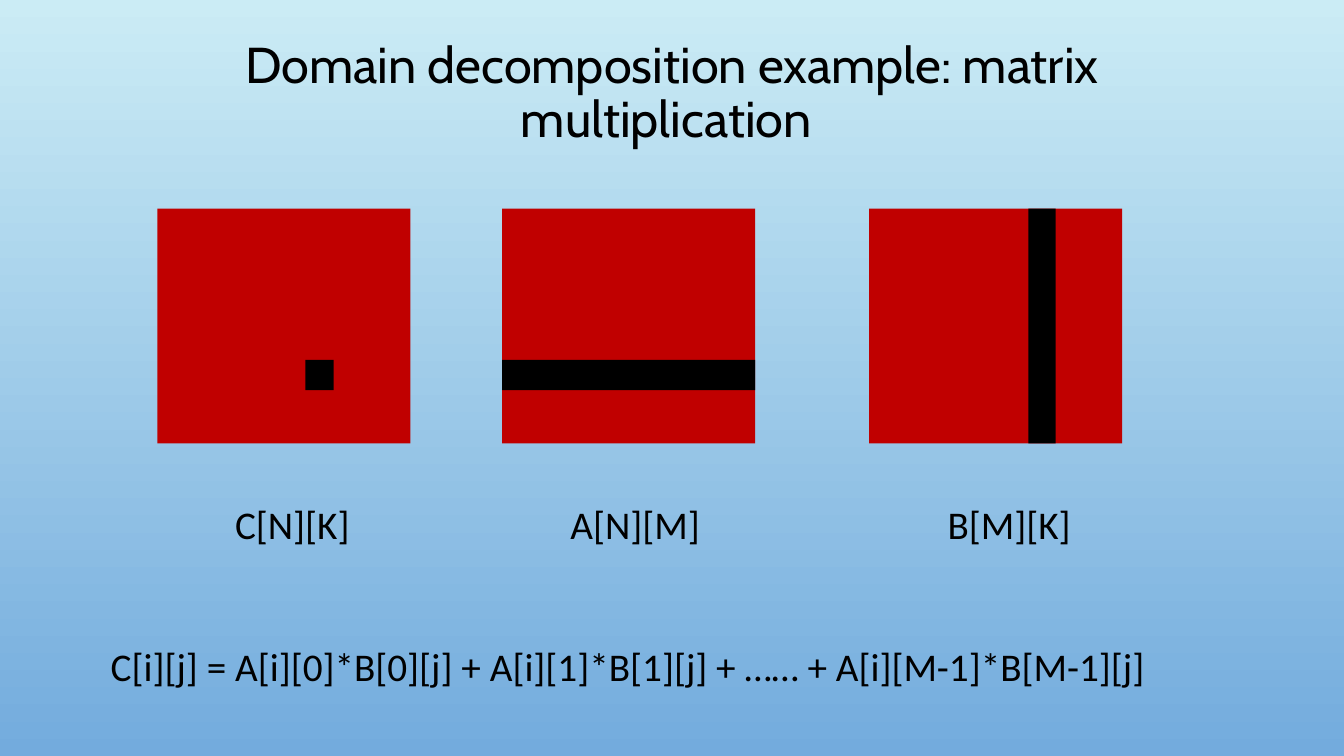
"""Build a slide on domain decomposition of a matrix multiplication."""
from pptx import Presentation
from pptx.dml.color import RGBColor
from pptx.enum.shapes import MSO_SHAPE
from pptx.enum.text import MSO_ANCHOR, PP_ALIGN
from pptx.util import Inches, Pt

RECT = MSO_SHAPE.RECTANGLE
MIDDLE = MSO_ANCHOR.MIDDLE
LEFT, CENTER = PP_ALIGN.LEFT, PP_ALIGN.CENTER
BLACK = RGBColor(0x00, 0x00, 0x00)
RED = RGBColor(0xC0, 0x00, 0x00)
SKY = RGBColor(0xCB, 0xEC, 0xF5)
BLUE = RGBColor(0x73, 0xAB, 0xDD)

TITLE = "Domain decomposition example: matrix multiplication "
FORMULA = "C[i][j] = A[i][0]*B[0][j] + A[i][1]*B[1][j] + …… + A[i][M-1]*B[M-1][j]"

MATRIX_W, MATRIX_H, MATRIX_TOP = 2.51, 2.33, 2.07
ROW = (1.5, 0.3)
FULL_ROW, FULL_COLUMN = (0, MATRIX_W), (0, MATRIX_H)
MATRICES = [
    {"label": "C[N][K]", "left": 1.56, "label_center": 2.9,
     "across": (1.47, 0.28), "down": ROW},
    {"label": "A[N][M]", "left": 4.98, "label_center": 6.3,
     "across": FULL_ROW, "down": ROW},
    {"label": "B[M][K]", "left": 8.62, "label_center": 10.01,
     "across": (1.58, 0.27), "down": FULL_COLUMN},
]
LABEL_W, LINE_H = 2.4, 0.6
LABEL_TOP, FORMULA_TOP = 4.9, 6.31


def add_text(s, text, x, y, w, h, font="Calibri", size=28, align=LEFT, spacing=1.0):
    tf = s.shapes.add_textbox(Inches(x), Inches(y), Inches(w), Inches(h)).text_frame
    tf.word_wrap = True
    tf.vertical_anchor = MIDDLE
    p = tf.paragraphs[0]
    p.alignment = align
    p.line_spacing = spacing
    r = p.add_run()
    r.text = text
    r.font.name = font
    r.font.size = Pt(size)
    r.font.color.rgb = BLACK


def add_block(s, x, y, w, h, color):
    sp = s.shapes.add_shape(RECT, Inches(x), Inches(y), Inches(w), Inches(h))
    sp.shadow.inherit = False
    sp.fill.solid()
    sp.fill.fore_color.rgb = color
    sp.line.fill.background()


def main():
    prs = Presentation()
    prs.slide_width, prs.slide_height = Inches(13.33), Inches(7.5)
    s = prs.slides.add_slide(prs.slide_layouts[6])

    fill = s.background.fill
    fill.gradient()
    fill.gradient_angle = 270
    for stop, color in zip(fill.gradient_stops, (SKY, BLUE)):
        stop.color.rgb = color

    add_text(s, TITLE, 1, 0.32, 11.33, 1.23, font="Cabin", size=36,
             align=CENTER, spacing=0.9)
    for m in MATRICES:
        add_block(s, m["left"], MATRIX_TOP, MATRIX_W, MATRIX_H, RED)
        (dx, w), (dy, h) = m["across"], m["down"]
        add_block(s, m["left"] + dx, MATRIX_TOP + dy, w, h, BLACK)
        add_text(s, m["label"], m["label_center"] - LABEL_W / 2, LABEL_TOP,
                 LABEL_W, LINE_H, align=CENTER)
    add_text(s, FORMULA, 1, FORMULA_TOP, 11.33, LINE_H)
    prs.save("out.pptx")


if __name__ == "__main__":
    main()
